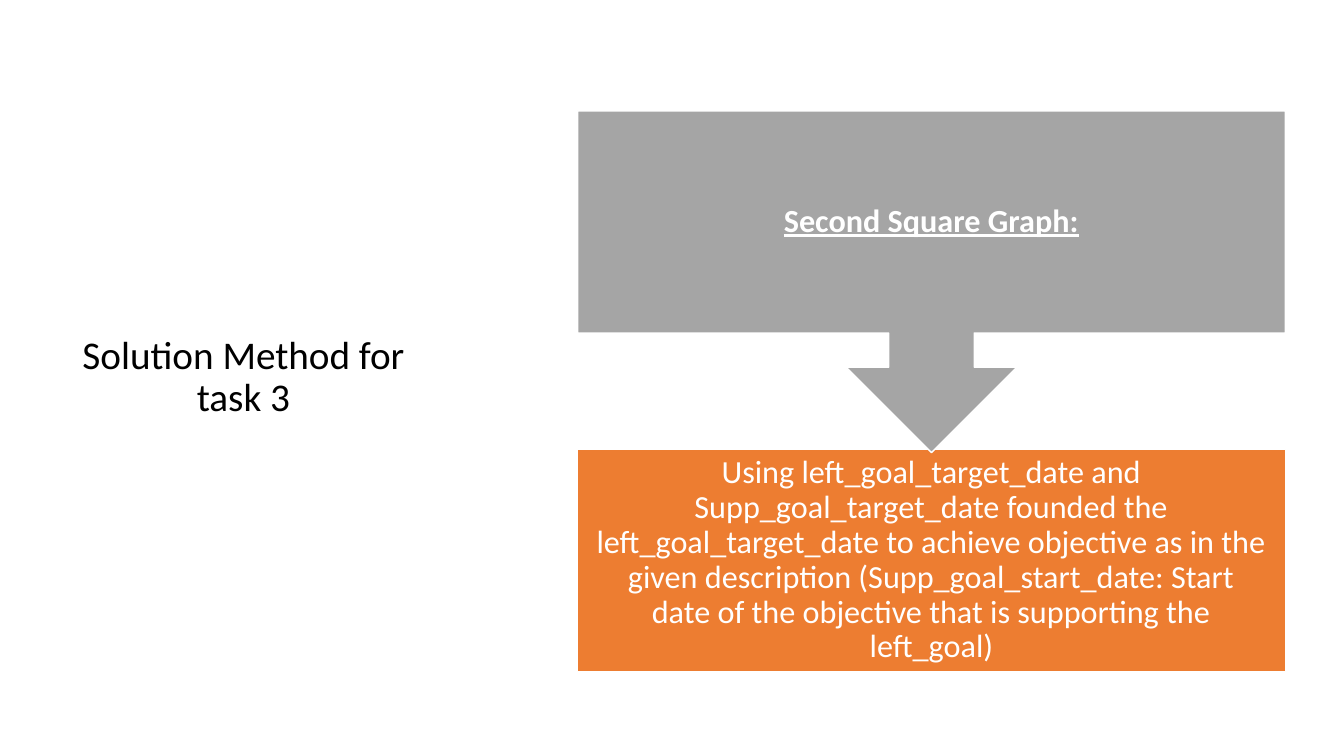
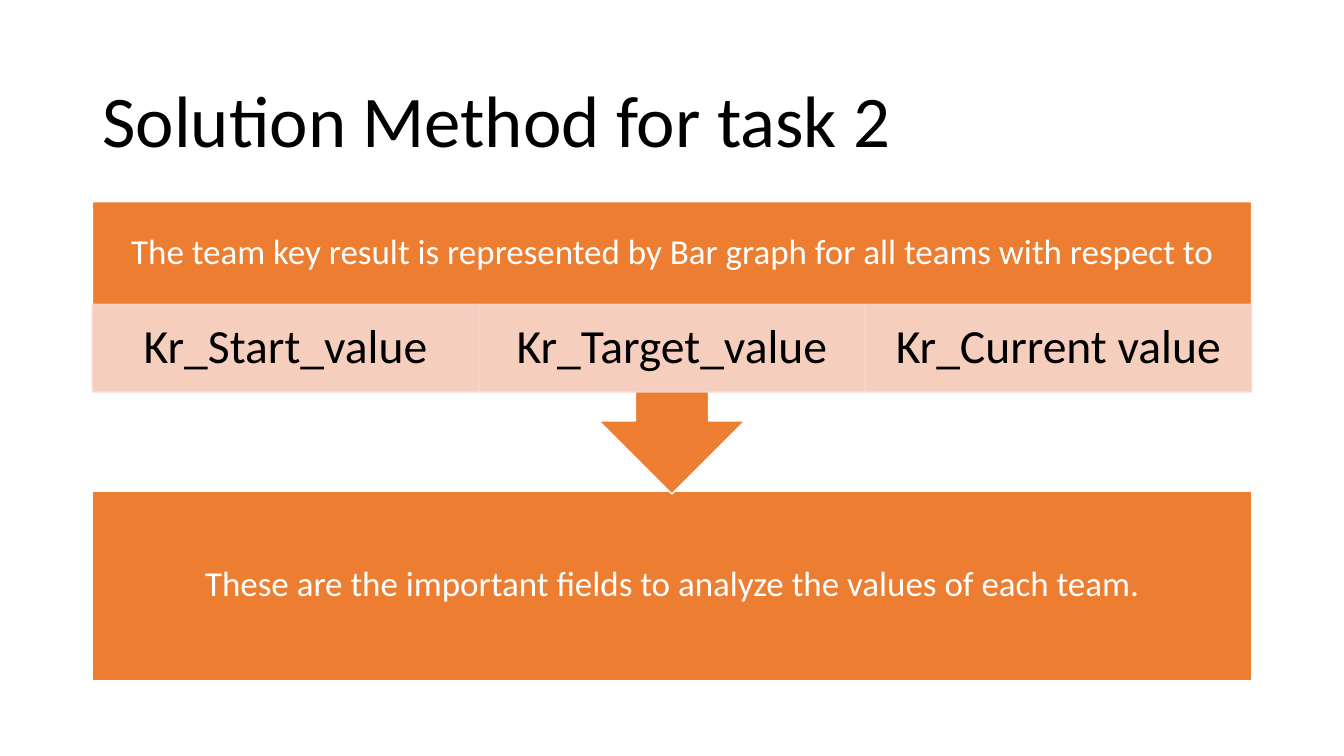
import pptx
import pptx.dml.color
import pptx.enum.shapes
import pptx.enum.text
import pptx.oxml.ns
import pptx.util
from lxml import etree

ALIGN = pptx.enum.text.PP_ALIGN
SHAPES = pptx.enum.shapes.MSO_SHAPE

FONT = "Calibri"
ORANGE, GREY, PEACH = "ED7D31", "A5A5A5", "F8D7CE"
WHITE, BLACK = "FFFFFF", "000000"
TITLE_ONLY = 5


def paint(color_format, value):
    """Apply a hex colour."""
    color_format.rgb = pptx.dml.color.RGBColor.from_string(value)


def fade(shape, opacity):
    """Make fill and line of a shape translucent; opacity in percent."""
    qn = pptx.oxml.ns.qn
    for color in shape.element.spPr.iter(qn("a:srgbClr")):
        etree.SubElement(color, qn("a:alpha"), val=str(opacity * 1000))


class Deck:
    """Holds the style and the current slide; lengths are percent of the slide."""

    def __init__(self):
        self.prs = pptx.Presentation()
        self.prs.slide_width = pptx.util.Inches(13.33)
        self.prs.slide_height = pptx.util.Inches(7.5)
        self.slide = None

    def x(self, share):
        return round(self.prs.slide_width * share / 100)

    def y(self, share):
        return round(self.prs.slide_height * share / 100)

    def area(self, box):
        left, top, width, height = box
        return self.x(left), self.y(top), self.x(width), self.y(height)

    def add_text(self, frame, text, size, color, align, bold=None, underline=None):
        frame.word_wrap = True
        frame.auto_size = pptx.enum.text.MSO_AUTO_SIZE.NONE
        frame.vertical_anchor = pptx.enum.text.MSO_ANCHOR.MIDDLE
        paragraph = frame.paragraphs[0]
        paragraph.alignment = align
        paragraph.line_spacing = 0.9
        run = paragraph.add_run()
        run.text = text
        run.font.name = FONT
        run.font.size = pptx.util.Pt(size)
        run.font.bold = bold
        run.font.underline = underline
        paint(run.font.color, color)

    def titled_slide(self, text, box, size, align):
        self.slide = self.prs.slides.add_slide(self.prs.slide_layouts[TITLE_ONLY])
        title = self.slide.shapes.title
        title.left, title.top, title.width, title.height = self.area(box)
        self.add_text(title.text_frame, text, size, BLACK, align)

    def block(self, text, box, size, fill, kind=SHAPES.RECTANGLE, color=WHITE,
              line=WHITE, opacity=100, side=0.18, below=0.05, **emphasis):
        block = self.slide.shapes.add_shape(kind, *self.area(box))
        block.shadow.inherit = False
        block.fill.solid()
        paint(block.fill.fore_color, fill)
        block.line.width = pptx.util.Pt(1)
        paint(block.line.color, line)
        if opacity < 100:
            fade(block, opacity)
        frame = block.text_frame
        frame.margin_left = frame.margin_right = pptx.util.Inches(side)
        frame.margin_top = pptx.util.Inches(0.05)
        frame.margin_bottom = pptx.util.Inches(below)
        self.add_text(frame, text, size, color, ALIGN.CENTER, **emphasis)

    def callout(self, text, box, size, fill, **options):
        self.block(text, box, size, fill, SHAPES.DOWN_ARROW_CALLOUT, **options)

    def field_row(self, names, box, size):
        left, top, width, height = box
        step = width / len(names)
        for column, name in enumerate(names):
            self.block(name, (left + column * step, top, step, height), size, PEACH,
                       color=BLACK, line=PEACH, opacity=90)


def main():
    deck = Deck()

    # Task 3: heading on the left, two steps on the right
    left, width = 42.98, 52.66
    deck.titled_slide("Solution Method for task 3", (4.95, 11.2, 26.33, 77.6), 28, ALIGN.CENTER)
    deck.block("Using left_goal_target_date and Supp_goal_target_date founded the "
               "left_goal_target_date to achieve objective as in the given description "
               "(Supp_goal_start_date: Start date of the objective that is supporting "
               "the left_goal)", (left, 59.47, width, 29.33), 23, ORANGE)
    deck.callout("Second Square Graph:", (left, 14.67, width, 45.2), 23, GREY,
                 bold=True, underline=True)

    # Task 2: heading on top, fields inside the first step
    left, width = 6.87, 86.25
    deck.titled_slide("Solution Method for task 2", (left, 8.13, width, 16.53), 52, ALIGN.LEFT)
    deck.block("These are the important fields to analyze the values of each team.",
               (left, 64.93, width, 25.07), 25, ORANGE)
    deck.callout("The team key result is represented by Bar graph for all teams with respect to",
                 (left, 26.67, width, 38.67), 25, ORANGE, below=0.92)
    deck.field_row(["Kr_Start_value", "Kr_Target_value", "Kr_Current value"],
                   (left, 40.27, width, 11.6), 34)

    deck.prs.save("out.pptx")


if __name__ == "__main__":
    main()
